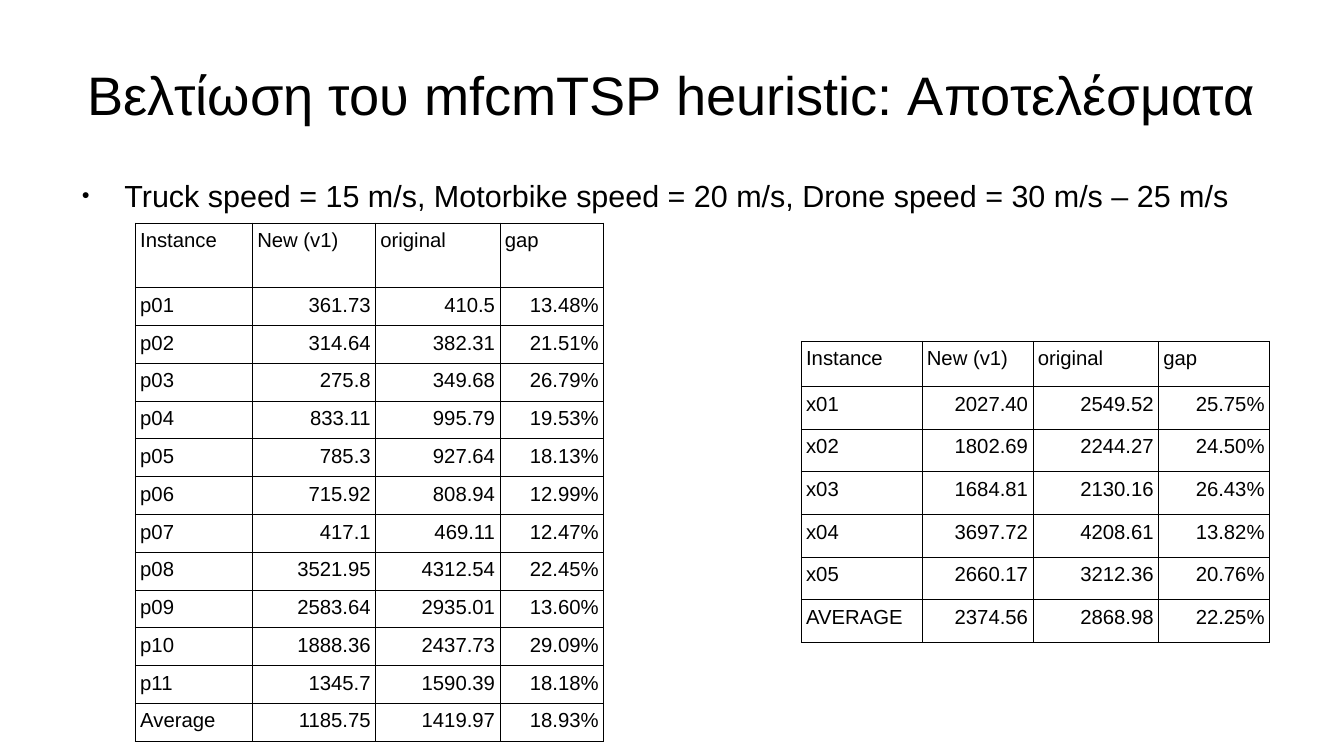
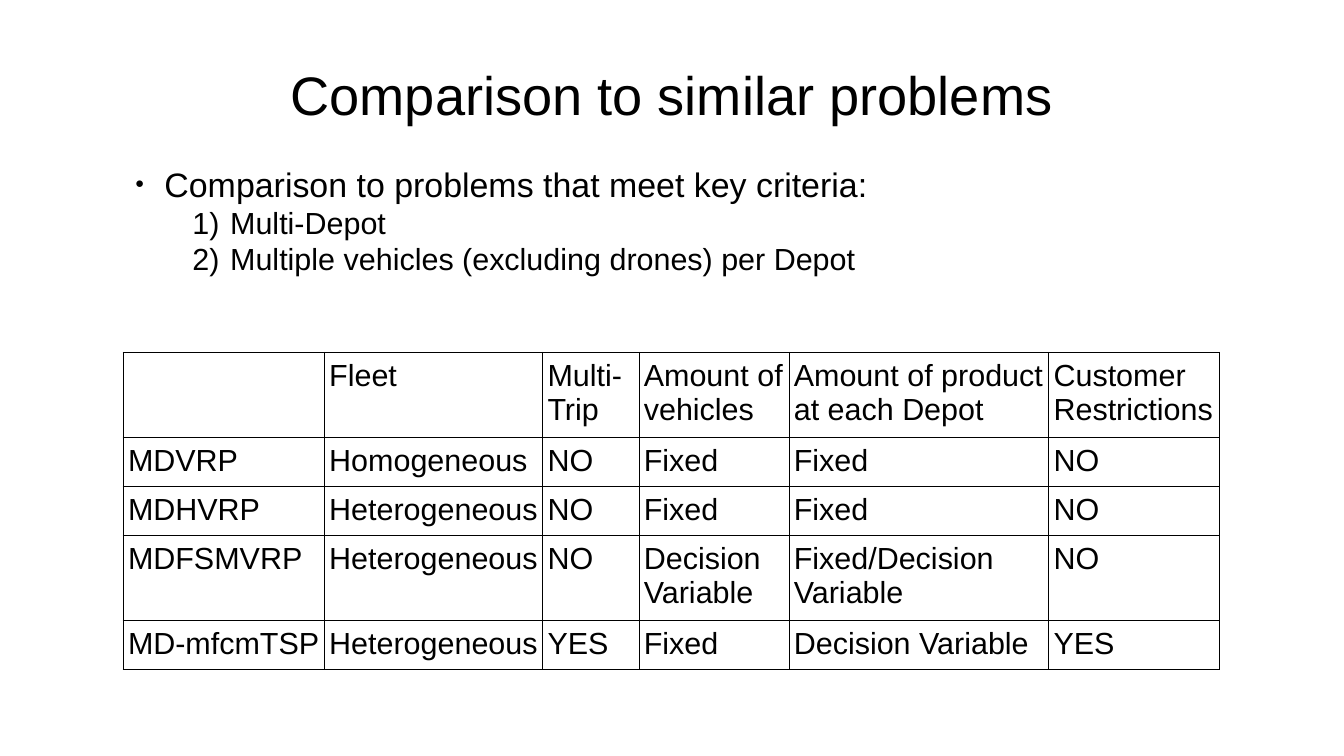
from dataclasses import dataclass

from lxml.etree import SubElement
from pptx import Presentation
from pptx.dml.color import RGBColor
from pptx.enum.text import MSO_ANCHOR, MSO_AUTO_SIZE, PP_ALIGN
from pptx.oxml.ns import qn
from pptx.slide import Slide
from pptx.util import Inches, Pt


@dataclass(frozen=True)
class Theme:
    font: str = "Arial"
    ink: str = "000000"
    title_size: int = 32
    lead_size: int = 20
    body_size: int = 18
    data_size: int = 12
    border: float = 0.57
    bullet: str = "●"
    bullet_percent: int = 45


@dataclass(frozen=True)
class Box:
    left: float
    top: float
    width: float
    height: float

    def lengths(self) -> tuple:
        return tuple(Inches(side) for side in (self.left, self.top, self.width, self.height))


@dataclass(frozen=True)
class ListItem:
    text: str
    size: int
    indent: float
    hanging: float
    level: int = 0
    numbered: bool = False


@dataclass(frozen=True)
class Grid:
    left: float
    top: float
    columns: tuple[float, ...]
    heights: tuple[float, ...]
    rows: tuple[tuple[str, ...], ...]
    size: int
    numeric: bool = False


THEME = Theme()
TITLE_BOX = Box(0.55, 0.25, 9.92, 1.04)

# Slide contents
RESULT_HEADER = ("Instance", "New (v1)", "original", "gap")
P_RESULTS = Grid(
    1.11, 1.83, (0.96, 1.01, 1.02, 0.85), (0.53,) + (0.31,) * 12,
    (
        RESULT_HEADER,
        ("p01", "361.73", "410.5", "13.48%"),
        ("p02", "314.64", "382.31", "21.51%"),
        ("p03", "275.8", "349.68", "26.79%"),
        ("p04", "833.11", "995.79", "19.53%"),
        ("p05", "785.3", "927.64", "18.13%"),
        ("p06", "715.92", "808.94", "12.99%"),
        ("p07", "417.1", "469.11", "12.47%"),
        ("p08", "3521.95", "4312.54", "22.45%"),
        ("p09", "2583.64", "2935.01", "13.60%"),
        ("p10", "1888.36", "2437.73", "29.09%"),
        ("p11", "1345.7", "1590.39", "18.18%"),
        ("Average", "1185.75", "1419.97", "18.93%"),
    ),
    THEME.data_size, numeric=True,
)
X_RESULTS = Grid(
    6.57, 2.8, (0.99, 0.91, 1.03, 0.91), (0.37,) + (0.35,) * 6,
    (
        RESULT_HEADER,
        ("x01", "2027.40", "2549.52", "25.75%"),
        ("x02", "1802.69", "2244.27", "24.50%"),
        ("x03", "1684.81", "2130.16", "26.43%"),
        ("x04", "3697.72", "4208.61", "13.82%"),
        ("x05", "2660.17", "3212.36", "20.76%"),
        ("AVERAGE", "2374.56", "2868.98", "22.25%"),
    ),
    THEME.data_size, numeric=True,
)
PROBLEMS = Grid(
    1.01, 2.89, (1.65, 1.79, 0.79, 1.23, 2.13, 1.4), (0.7, 0.4, 0.4, 0.7, 0.4),
    (
        ("", "Fleet", "Multi-Trip", "Amount of vehicles",
         "Amount of product at each Depot", "Customer Restrictions"),
        ("MDVRP", "Homogeneous", "NO", "Fixed", "Fixed", "NO"),
        ("MDHVRP", "Heterogeneous", "NO", "Fixed", "Fixed", "NO"),
        ("MDFSMVRP", "Heterogeneous", "NO", "Decision Variable",
         "Fixed/Decision Variable", "NO"),
        ("MD-mfcmTSP", "Heterogeneous", "YES", "Fixed", "Decision Variable", "YES"),
    ),
    THEME.body_size,
)
SPEEDS = (
    ListItem("Truck speed = 15 m/s, Motorbike speed = 20 m/s, Drone speed = 30 m/s – 25 m/s",
             THEME.body_size, 0.47, 0.35),
)
CRITERIA = (
    ListItem("Comparison to problems that meet key criteria:", THEME.lead_size, 0.24, 0.24),
    *(ListItem(text, THEME.body_size, 0.71, 0.24, level=1, numbered=True)
      for text in (" Multi-Depot", " Multiple vehicles (excluding drones) per Depot")),
)


# Shared formatting
def apply(target, values: dict) -> None:
    for name, value in values.items():
        setattr(target, name, value)


def margins(horizontal: float, vertical: float) -> dict:
    return {
        "margin_left": Inches(horizontal), "margin_right": Inches(horizontal),
        "margin_top": Inches(vertical), "margin_bottom": Inches(vertical),
    }


def write(para, text: str, size: int, align=PP_ALIGN.LEFT) -> None:
    para.alignment = align
    span = para.add_run()
    span.text = text
    apply(span.font, {"name": THEME.font, "size": Pt(size), "bold": False})
    span.font.color.rgb = RGBColor.from_string(THEME.ink)


def add_color(parent) -> None:
    SubElement(parent, qn("a:srgbClr"), val=THEME.ink)


# Title, lists and tables
def add_titled_page(deck, title: str) -> Slide:
    page = deck.slides.add_slide(deck.slide_layouts.get_by_name("Title Only"))
    box = page.shapes.title
    apply(box, dict(zip(("left", "top", "width", "height"), TITLE_BOX.lengths())))
    apply(box.text_frame, {
        **margins(0, 0), "word_wrap": True, "auto_size": MSO_AUTO_SIZE.NONE,
        "vertical_anchor": MSO_ANCHOR.MIDDLE,
    })
    write(box.text_frame.paragraphs[0], title, THEME.title_size, PP_ALIGN.CENTER)
    return page


def add_marker(para, item: ListItem) -> None:
    properties = para._p.get_or_add_pPr()
    properties.set("marL", str(Inches(item.indent)))
    properties.set("indent", str(-Inches(item.hanging)))
    add_color(SubElement(properties, qn("a:buClr")))
    if item.numbered:
        SubElement(properties, qn("a:buFont"), typeface=THEME.font)
        SubElement(properties, qn("a:buAutoNum"), type="arabicParenR")
    else:
        SubElement(properties, qn("a:buSzPct"), val=str(THEME.bullet_percent * 1000))
        SubElement(properties, qn("a:buFont"), typeface=THEME.font)
        SubElement(properties, qn("a:buChar"), char=THEME.bullet)


def add_list(page: Slide, place: Box, items: tuple[ListItem, ...], inset: dict) -> None:
    frame = page.shapes.add_textbox(*place.lengths()).text_frame
    apply(frame, {**inset, "word_wrap": True})
    for index, item in enumerate(items):
        para = frame.add_paragraph() if index else frame.paragraphs[0]
        para.level = item.level
        write(para, item.text, item.size)
        add_marker(para, item)


def add_borders(cell) -> None:
    properties = cell._tc.get_or_add_tcPr()
    for side in ("lnL", "lnR", "lnT", "lnB"):
        line = SubElement(properties, qn(f"a:{side}"), w=str(Pt(THEME.border)))
        add_color(SubElement(line, qn("a:solidFill")))


def add_grid(page: Slide, grid: Grid) -> None:
    place = Box(grid.left, grid.top, sum(grid.columns), sum(grid.heights))
    table = page.shapes.add_table(len(grid.rows), len(grid.columns), *place.lengths()).table
    apply(table, {"first_row": False, "horz_banding": False})
    for column, width in zip(table.columns, grid.columns):
        column.width = Inches(width)
    for row, height in zip(table.rows, grid.heights):
        row.height = Inches(height)
    for row_index, texts in enumerate(grid.rows):
        for column_index, text in enumerate(texts):
            cell = table.cell(row_index, column_index)
            apply(cell, margins(0.04, 0.05))
            add_borders(cell)
            cell.fill.background()
            is_value = grid.numeric and row_index and column_index
            if text:
                write(cell.text_frame.paragraphs[0], text, grid.size,
                      PP_ALIGN.RIGHT if is_value else PP_ALIGN.LEFT)


def main() -> None:
    deck = Presentation()
    apply(deck, {"slide_width": Inches(11.02), "slide_height": Inches(6.2)})

    # Heuristic results
    page = add_titled_page(deck, "Βελτίωση του mfcmTSP heuristic: Αποτελέσματα")
    add_list(page, Box(0.55, 1.45, 9.92, 4.55), SPEEDS, margins(0, 0))
    add_grid(page, P_RESULTS)
    add_grid(page, X_RESULTS)

    # Problem comparison
    page = add_titled_page(deck, "Comparison to similar problems")
    add_grid(page, PROBLEMS)
    add_list(page, Box(1.01, 1.29, 9, 1.5), CRITERIA, margins(0.1, 0.05))

    deck.save("out.pptx")


if __name__ == "__main__":
    main()
